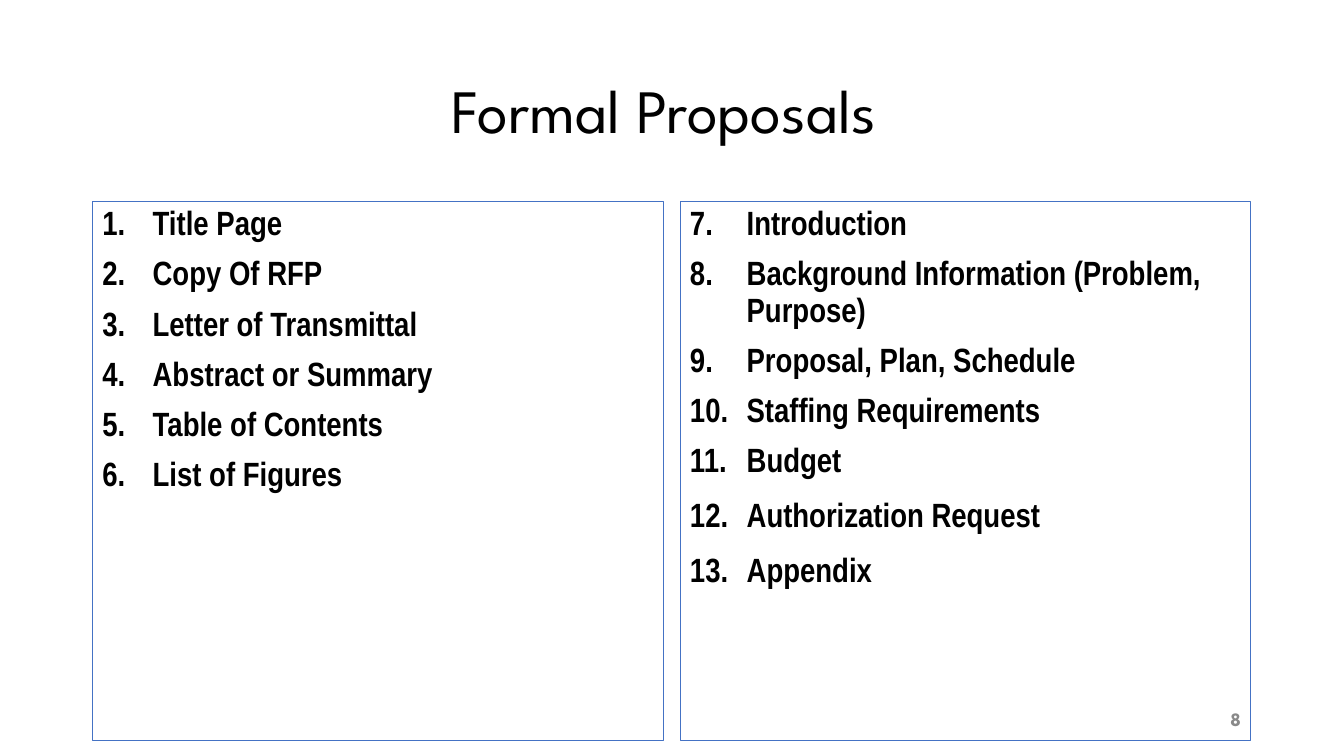
from lxml import etree
from pptx import Presentation
from pptx.dml.color import RGBColor
from pptx.enum.shapes import MSO_SHAPE
from pptx.enum.text import MSO_ANCHOR, PP_ALIGN
from pptx.oxml.ns import qn
from pptx.util import Pt

RECTANGLE = MSO_SHAPE.RECTANGLE
TOP, MIDDLE = MSO_ANCHOR.TOP, MSO_ANCHOR.MIDDLE
LEFT, CENTER, RIGHT = PP_ALIGN.LEFT, PP_ALIGN.CENTER, PP_ALIGN.RIGHT

COLORS = {"text": "000000", "border": "4472C4", "number": "898989"}
HEADING_FONT = "League Spartan"
LIST_FONT = "Arial Narrow"

FRONT_MATTER = [
    "Title Page",
    "Copy Of RFP",
    "Letter of Transmittal",
    "Abstract or Summary",
    "Table of Contents",
    "List of Figures",
]
BODY_SECTIONS = [
    "Introduction",
    "Background Information (Problem, Purpose)",
    "Proposal, Plan, Schedule",
    "Staffing Requirements",
    "Budget",
    "Authorization Request",
    "Appendix",
]
LOOSE_ITEMS = ("Authorization Request", "Appendix")


class ProposalSlide:
    def __init__(self, page):
        self.page = page

    def format_text(self, para, font, size, color, bold=False):
        for span in para.runs:
            span.font.name = font
            span.font.size = Pt(size)
            span.font.bold = bold
            span.font.color.rgb = RGBColor.from_string(COLORS[color])

    def label(self, text, place, size, color, align, spacing, bold=False):
        box = self.page.shapes.add_textbox(*map(Pt, place))
        frame = box.text_frame
        frame.word_wrap = True
        frame.vertical_anchor = MIDDLE
        frame.text = text
        para = frame.paragraphs[0]
        para.alignment = align
        para.line_spacing = spacing
        self.format_text(para, HEADING_FONT, size, color, bold)

    def number_item(self, para, start, indent):
        properties = para._p.get_or_add_pPr()
        properties.set("marL", str(Pt(indent)))
        properties.set("indent", str(-Pt(indent)))
        bullet_color = etree.SubElement(properties, qn("a:buClr"))
        etree.SubElement(bullet_color, qn("a:srgbClr"), val=COLORS["text"])
        etree.SubElement(properties, qn("a:buFont"), typeface=LIST_FONT)
        etree.SubElement(
            properties, qn("a:buAutoNum"), type="arabicPeriod", startAt=str(start)
        )

    def numbered_box(self, items, place, start, indent):
        box = self.page.shapes.add_shape(RECTANGLE, *map(Pt, place))
        box.shadow.inherit = False
        box.fill.background()
        box.line.color.rgb = RGBColor.from_string(COLORS["border"])
        box.line.width = Pt(0.75)
        frame = box.text_frame
        frame.word_wrap = True
        frame.vertical_anchor = TOP
        frame.text = "\n".join(items)
        for para in frame.paragraphs:
            para.alignment = LEFT
            para.line_spacing = 1.0 if para.text in LOOSE_ITEMS else 0.9
            para.space_before = Pt(10)
            self.number_item(para, start, indent)
            self.format_text(para, LIST_FONT, 24, "text", bold=True)


def main():
    deck = Presentation()
    deck.slide_width, deck.slide_height = Pt(960.5), Pt(540)
    slide = ProposalSlide(deck.slides.add_slide(deck.slide_layouts[6]))
    slide.label("Formal Proposals ", (66, 29, 828, 104.4), 44, "text", CENTER, 0.9)
    slide.numbered_box(FRONT_MATTER, (66, 144, 408, 385), 1, 36)
    slide.numbered_box(
        BODY_SECTIONS, (486, 144, 408, 385), len(FRONT_MATTER) + 1, 40.5
    )
    slide.label("8", (678, 500.5, 216, 28.75), 13.5, "number", RIGHT, 0.8, bold=True)
    deck.save("out.pptx")


if __name__ == "__main__":
    main()
